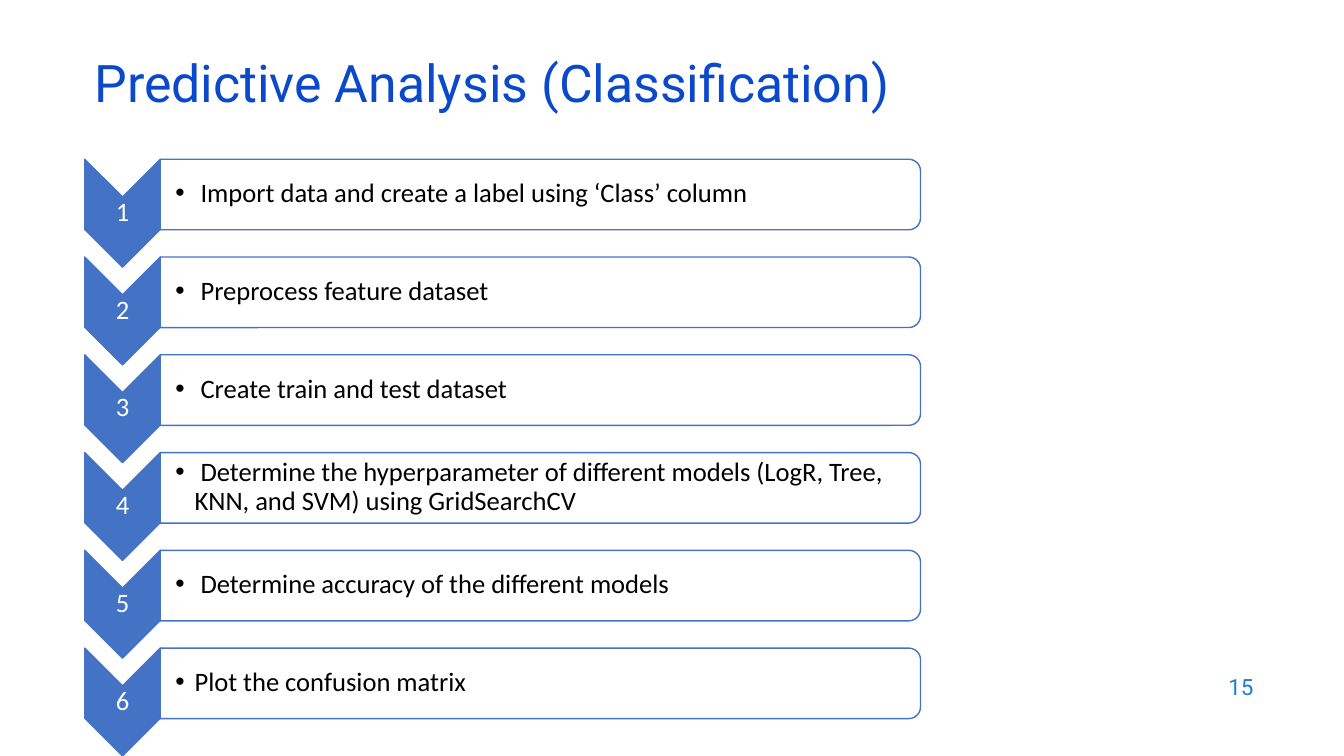
from lxml.etree import SubElement
from pptx import Presentation
from pptx.dml.color import RGBColor
from pptx.enum.shapes import MSO_SHAPE
from pptx.enum.text import MSO_ANCHOR, PP_ALIGN
from pptx.oxml.ns import qn
from pptx.util import Inches, Pt

COLORS = {
    "title": "0B49CB",
    "number": "1C7DDB",
    "accent": "4472C4",
    "white": "FFFFFF",
    "black": "000000",
}
STEPS = [
    " Import data and create a label using ‘Class’ column",
    " Preprocess feature dataset",
    " Create train and test dataset",
    " Determine the hyperparameter of different models (LogR, Tree, KNN, and SVM) using GridSearchCV",
    " Determine accuracy of the different models",
    "Plot the confusion matrix",
]
STEP_PITCH = 0.97
STEP_INSETS = (0.01, 0.01, 0.01, 0.01)
LABEL_INSETS = (0.15, 0.01, 0.01, 0.01)


class SlideBuilder:
    def __init__(self, slide):
        self.slide = slide

    def color(self, name):
        return RGBColor.from_string(COLORS[name])

    def turned_shape(self, kind, left, top, width, height, fill, opacity=100):
        """Add a shape turned a quarter clockwise; the box is the one before turning."""
        shape = self.slide.shapes.add_shape(
            kind, Inches(left), Inches(top), Inches(width), Inches(height))
        shape.rotation = 90
        shape.shadow.inherit = False
        shape.fill.solid()
        shape.fill.fore_color.rgb = self.color(fill)
        if opacity < 100:
            color_element = shape.fill._xPr.find(qn("a:solidFill"))[0]
            SubElement(color_element, qn("a:alpha"), val=str(opacity * 1000))
        shape.line.color.rgb = self.color("accent")
        shape.line.width = Pt(1)

    def text(self, content, left, top, width, height, size, color, font="Calibri",
             align=PP_ALIGN.LEFT, spacing=0.9, insets=(0.1, 0.05, 0.1, 0.05), bullet=False):
        box = self.slide.shapes.add_textbox(
            Inches(left), Inches(top), Inches(width), Inches(height))
        frame = box.text_frame
        frame.word_wrap = True
        frame.vertical_anchor = MSO_ANCHOR.MIDDLE
        frame.margin_left, frame.margin_top, frame.margin_right, frame.margin_bottom = map(
            Inches, insets)
        paragraph = frame.paragraphs[0]
        if bullet:
            self.bullet(paragraph)
        paragraph.alignment = align
        paragraph.line_spacing = spacing
        run = paragraph.add_run()
        run.text = content
        run.font.name = font
        run.font.size = Pt(size)
        run.font.color.rgb = self.color(color)

    def bullet(self, paragraph, indent=0.19):
        properties = paragraph._p.get_or_add_pPr()
        properties.set("marL", str(Inches(indent)))
        properties.set("indent", str(-Inches(indent)))
        SubElement(properties, qn("a:buFont"), typeface="Arial")
        SubElement(properties, qn("a:buChar"), char="•")

    def step(self, number, label):
        offset = (number - 1) * STEP_PITCH
        self.turned_shape(MSO_SHAPE.CHEVRON, 0.68, 1.74 + offset, 1.07, 0.75, "accent")
        self.text(str(number), 0.84, 1.95 + offset, 0.75, 0.32, 19, "white",
                  align=PP_ALIGN.CENTER, insets=STEP_INSETS)
        self.turned_shape(MSO_SHAPE.ROUND_2_SAME_RECTANGLE, 5.01, -1.84 + offset,
                          0.7, 7.54, "white", opacity=90)
        self.text(label, 1.59, 1.61 + offset, 7.5, 0.63, 19, "black",
                  insets=LABEL_INSETS, bullet=True)


def main():
    presentation = Presentation()
    presentation.slide_width = Inches(13.33)
    presentation.slide_height = Inches(7.5)
    slide = presentation.slides.add_slide(presentation.slide_layouts[6])
    builder = SlideBuilder(slide)
    builder.text("15", 9.53, 6.59, 3, 0.44, 16, "number", font="Roboto",
                 align=PP_ALIGN.RIGHT, spacing=1.0)
    builder.text("Predictive Analysis (Classification)", 0.84, 0.59, 11.5, 0.6, 37, "title",
                 font="Roboto", spacing=0.7)
    for number, label in enumerate(STEPS, start=1):
        builder.step(number, label)
    presentation.save("out.pptx")


if __name__ == "__main__":
    main()
